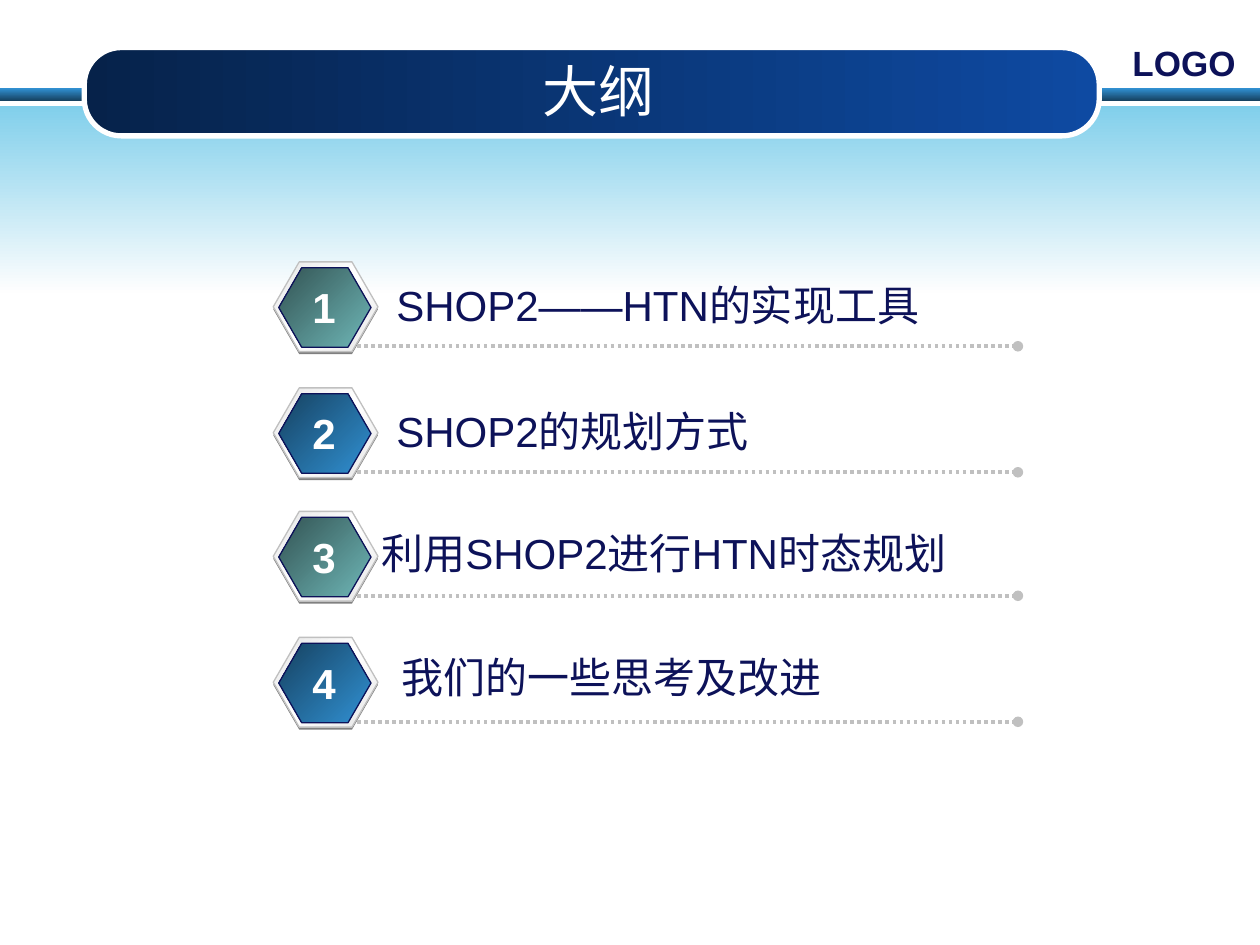
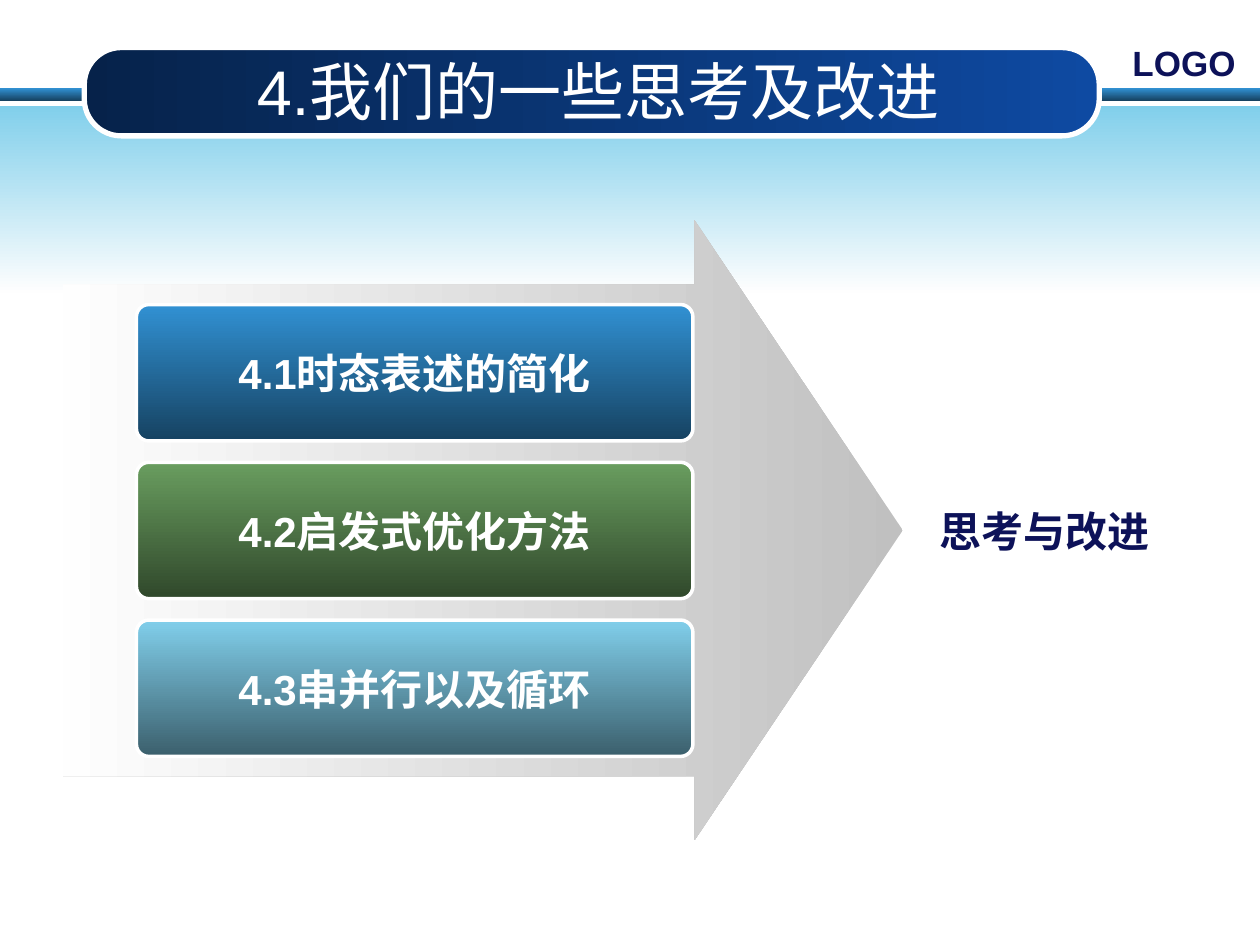
from lxml.etree import SubElement
from pptx import Presentation
from pptx.dml.color import RGBColor
from pptx.enum.dml import MSO_LINE
from pptx.enum.shapes import MSO_CONNECTOR, MSO_SHAPE
from pptx.enum.text import MSO_ANCHOR, PP_ALIGN
from pptx.oxml.ns import qn
from pptx.util import Cm, Pt

FONT = "Arial"
WHITE = RGBColor(0xFF, 0xFF, 0xFF)
NEAR_WHITE = RGBColor(0xFE, 0xFE, 0xFE)
NAVY = RGBColor(0x0D, 0x12, 0x59)
BLUE = RGBColor(0x31, 0x91, 0xD3)
DEEP_BLUE = RGBColor(0x16, 0x42, 0x61)
SKY = RGBColor(0x81, 0xCF, 0xEB)
DEEP_SKY = RGBColor(0x3B, 0x5F, 0x6C)
TITLE_BLUE = RGBColor(0x0E, 0x4A, 0xA2)
TITLE_DARK = RGBColor(0x06, 0x22, 0x4A)
TEAL = RGBColor(0x6F, 0xB7, 0xB7)
DEEP_TEAL = RGBColor(0x33, 0x54, 0x54)
GREEN = RGBColor(0x69, 0x9D, 0x5F)
DEEP_GREEN = RGBColor(0x30, 0x48, 0x2B)
SILVER = RGBColor(0xC0, 0xC0, 0xC0)
PALE_GRAY = RGBColor(0xE6, 0xE6, 0xE6)
GRAY = RGBColor(0x80, 0x80, 0x80)

# Gradient directions, counter-clockwise in degrees
DOWN, LEFTWARD, UP_LEFT = 270, 180, 135

# Outline rows: text, row top, text left, text offset from row top
OUTLINE = [
    ("SHOP2——HTN的实现工具", 5.28, 7.74, 0.23),
    ("SHOP2的规划方式", 7.82, 7.74, 0.23),
    ("利用SHOP2进行HTN时态规划", 10.31, 7.44, 0.2),
    ("我们的一些思考及改进", 12.85, 7.85, 0.15),
]
OUTLINE_WIDTH = 13.5
BADGE_COLOURS = [(TEAL, DEEP_TEAL), (BLUE, DEEP_BLUE)]
IDEAS = [
    ("4.1时态表述的简化", (BLUE, DEEP_BLUE)),
    ("4.2启发式优化方法", (GREEN, DEEP_GREEN)),
    ("4.3串并行以及循环", (SKY, DEEP_SKY)),
]


def fill_gradient(shape, colours, angle):
    """Fill with evenly spaced colour stops."""
    shape.fill.gradient()
    shape.fill.gradient_angle = angle
    stops = shape._element.spPr.find(".//" + qn("a:gsLst"))
    for stop in list(stops):
        stops.remove(stop)
    for index, colour in enumerate(colours):
        position = 100000 * index // (len(colours) - 1)
        stop = SubElement(stops, qn("a:gs"), pos=str(position))
        SubElement(stop, qn("a:srgbClr"), val=str(colour))


def add_shape(shapes, kind, bounds, colours, angle=DOWN, line=None, adjust=()):
    """Add a preset shape; one colour gives a solid fill, more a gradient."""
    shape = shapes.add_shape(kind, *map(Cm, bounds))
    shape.shadow.inherit = False
    for index, value in enumerate(adjust):
        shape.adjustments[index] = value
    if len(colours) == 1:
        shape.fill.solid()
        shape.fill.fore_color.rgb = colours[0]
    else:
        fill_gradient(shape, colours, angle)
    if line:
        shape.line.color.rgb, shape.line.width = line[0], Pt(line[1])
    else:
        shape.line.fill.background()
    return shape


def write_text(shape, text, size, colour, bold=False, align=PP_ALIGN.LEFT):
    shape.text_frame.text = text
    para = shape.text_frame.paragraphs[0]
    para.alignment = align
    for span in para.runs:
        span.font.name, span.font.size = FONT, Pt(size)
        span.font.bold = bold
        span.font.color.rgb = colour


def add_label(page, text, bounds, size=24, colour=NAVY, bold=False,
              align=PP_ALIGN.LEFT, anchor=MSO_ANCHOR.TOP):
    box = page.shapes.add_textbox(*map(Cm, bounds))
    box.text_frame.word_wrap = True
    box.text_frame.vertical_anchor = anchor
    write_text(box, text, size, colour, bold, align)
    return box


def add_dotted_line(page, left, right, top):
    """Add a dotted line that ends in a round dot."""
    line = page.shapes.add_connector(
        MSO_CONNECTOR.STRAIGHT, Cm(left), Cm(top), Cm(right), Cm(top))
    line.line.color.rgb, line.line.width = SILVER, Pt(2)
    line.line.dash_style = MSO_LINE.ROUND_DOT
    properties = line._element.spPr
    SubElement(properties.find(qn("a:ln")), qn("a:tailEnd"), type="oval")
    SubElement(properties, qn("a:effectLst"))


def add_badge(page, top, colours):
    """Add a hexagon with a silver rim and a thin shadow."""
    shapes = page.shapes.add_group_shape().shapes
    for bounds, fill, line in [
        ((5.51, top + 0.05, 2.11, 1.81), (GRAY,), None),
        ((5.51, top, 2.11, 1.81), (PALE_GRAY, WHITE, PALE_GRAY), (SILVER, 0.75)),
        ((5.62, top + 0.12, 1.86, 1.6), colours, (NAVY, 0.75)),
    ]:
        add_shape(shapes, MSO_SHAPE.HEXAGON, bounds, fill, UP_LEFT, line, (0.289,))


def set_up_layout(layout, page):
    """Draw the shared bands on a page, then move them into its layout."""
    backdrop = [
        add_shape(page.shapes, MSO_SHAPE.RECTANGLE, (0, 1.78, 25.4, 0.25),
                  (BLUE, DEEP_BLUE)),
        add_shape(page.shapes, MSO_SHAPE.RECTANGLE, (0, 2.13, 25.4, 3.78),
                  (SKY, NEAR_WHITE)),
        add_shape(page.shapes, MSO_SHAPE.ROUNDED_RECTANGLE, (1.7, 0.96, 20.46, 1.78),
                  (TITLE_BLUE, TITLE_DARK), LEFTWARD, (WHITE, 3), (0.419,)),
        add_label(page, "LOGO", (22.58, 0.71, 2.74, 1.12), 20, bold=True),
    ]
    for number, shape in enumerate(backdrop, 20):
        shape._element.nvSpPr.cNvPr.set("id", str(number))
        layout.shapes._spTree.append(shape._element)
    title = layout.placeholders[0]
    title.left, title.top, title.width, title.height = map(
        Cm, (2.32, 1.04, 19.48, 1.57))


def set_title(page, text, size):
    write_text(page.shapes.title, text, size, WHITE, align=PP_ALIGN.CENTER)
    page.shapes.title.text_frame.vertical_anchor = MSO_ANCHOR.MIDDLE


def build_outline(page):
    set_title(page, "大纲", 32)
    for index, (text, top, left, offset) in enumerate(OUTLINE):
        add_badge(page, top, BADGE_COLOURS[index % 2])
        add_dotted_line(page, 7.2, 20.52, top + 1.7)
        add_label(page, text, (left, top + offset, OUTLINE_WIDTH, 1.27))
        add_label(page, str(index + 1), (6.05, top + 0.28, 0.97, 1.27),
                  colour=WHITE, bold=True, align=PP_ALIGN.CENTER)


def build_ideas(page):
    set_title(page, "4.我们的一些思考及改进", 36)
    add_shape(page.shapes, MSO_SHAPE.RIGHT_ARROW, (1.27, 4.44, 16.93, 12.5),
              (SILVER, NEAR_WHITE), LEFTWARD, adjust=(0.793, 0.336))
    for index, (text, colours) in enumerate(IDEAS):
        card = add_shape(page.shapes, MSO_SHAPE.ROUNDED_RECTANGLE,
                         (2.75, 6.14 + 3.18 * index, 11.22, 2.75), colours,
                         line=(WHITE, 2), adjust=(0.091,))
        card.text_frame.word_wrap = False
        card.text_frame.vertical_anchor = MSO_ANCHOR.MIDDLE
        write_text(card, text, 24, WHITE, True, PP_ALIGN.CENTER)
    add_label(page, "思考与改进", (17.57, 8.89, 6.99, 3.6), bold=True,
              align=PP_ALIGN.CENTER, anchor=MSO_ANCHOR.MIDDLE)


def main():
    deck = Presentation()
    deck.slide_width, deck.slide_height = Cm(25.4), Cm(19.05)
    layout = deck.slide_layouts.get_by_name("Title Only")
    outline_page = deck.slides.add_slide(layout)
    set_up_layout(layout, outline_page)
    build_outline(outline_page)
    build_ideas(deck.slides.add_slide(layout))
    deck.save("out.pptx")


if __name__ == "__main__":
    main()
